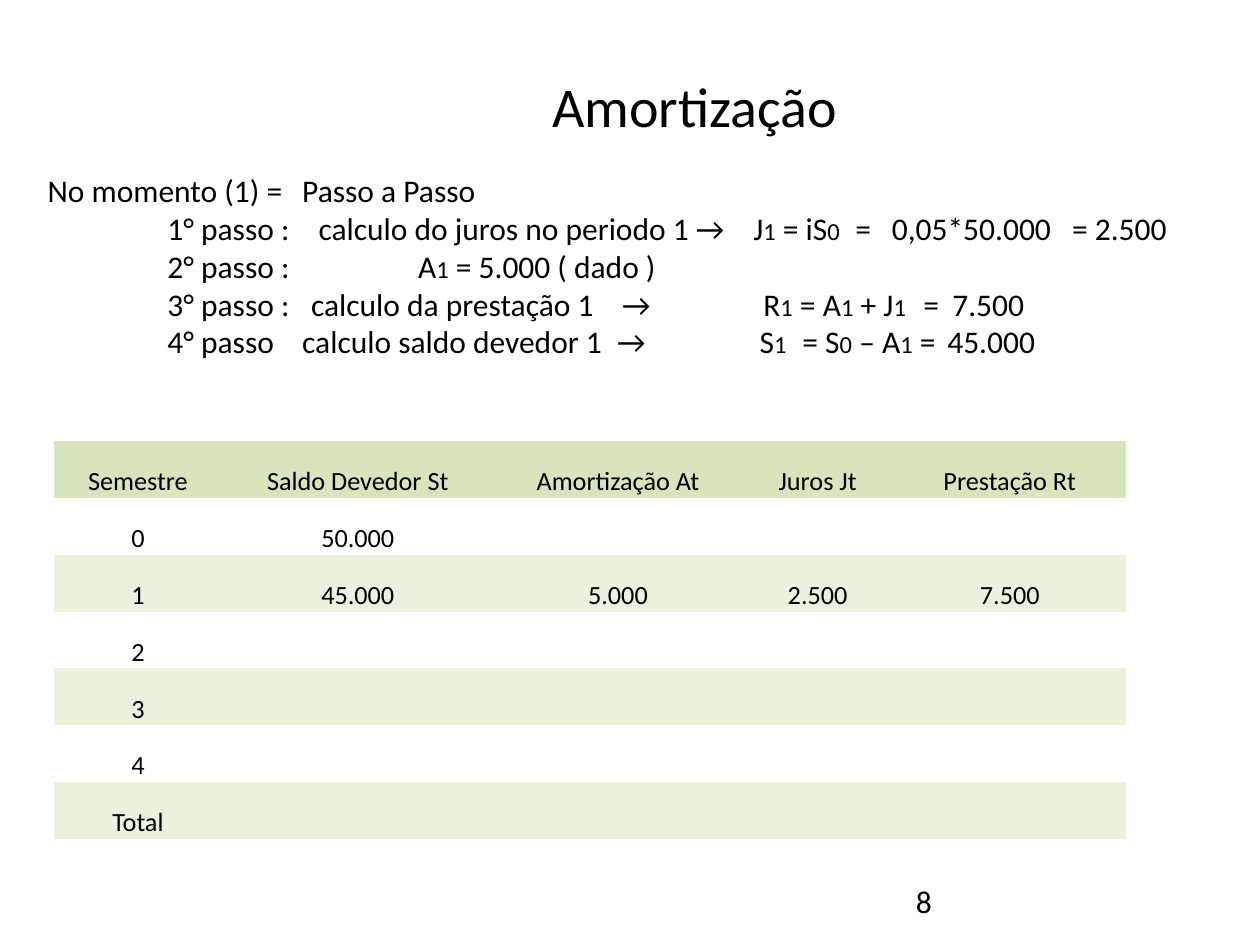
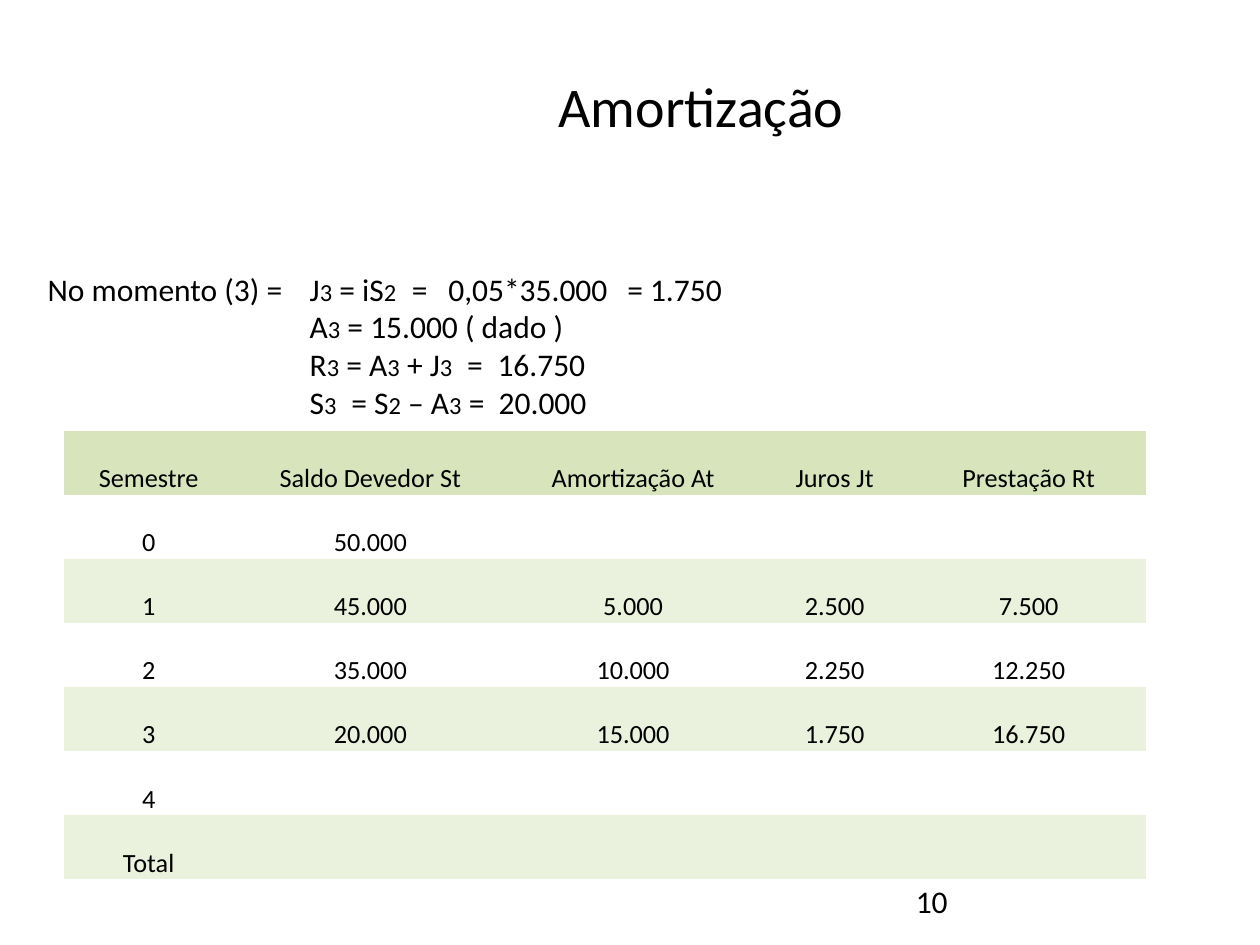
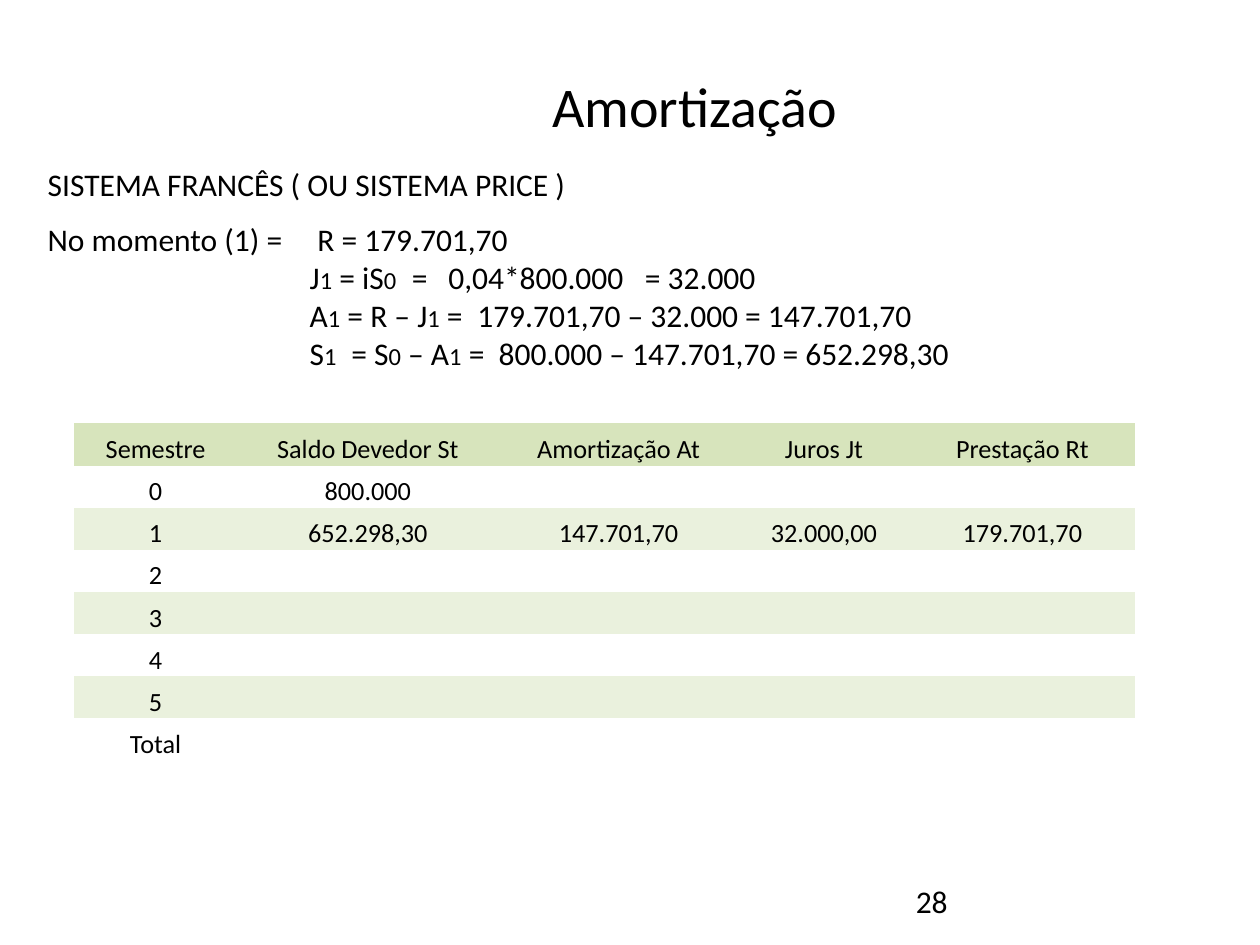
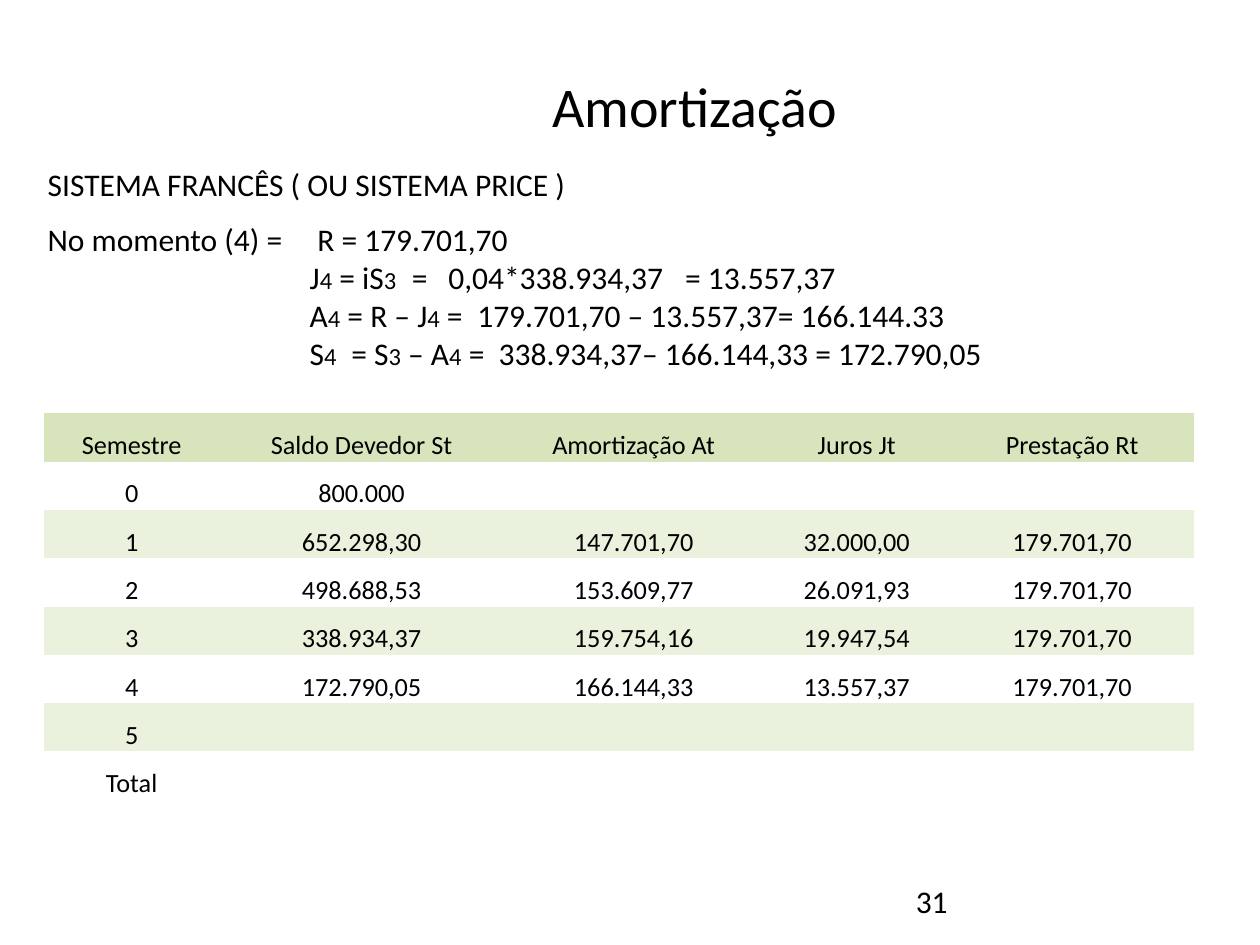
from itertools import zip_longest

from pptx import Presentation
from pptx import util as u
from pptx.dml.color import RGBColor
from pptx.enum import text as t
from pptx.oxml.ns import qn
from lxml import etree

COLOURS = {"ink": "000000", "header": "D7E4BC", "band": "EAF1DD"}
FONT = "Calibri"
NO_STYLE = "{2D5ABB26-0587-4C30-8999-92F81FD0307C}"
BODY_LEFT, BODY_WIDTH = 0.28, 9.61

HEADINGS = ["Semestre", "Saldo Devedor St", "Amortização At", "Juros Jt", "Prestação Rt"]
CONSTANT_LABELS = ["0", "1", "2", "3", "4", "Total"]
CONSTANT_ROWS = [
    ["50.000"],
    ["45.000", "5.000", "2.500", "7.500"],
    ["35.000", "10.000", "2.250", "12.250"],
    ["20.000", "15.000", "1.750", "16.750"],
]
FRENCH_LABELS = ["0", "1", "2", "3", "4", "5", "Total"]
FRENCH_ROWS = [
    ["800.000"],
    ["652.298,30", "147.701,70", "32.000,00", "179.701,70"],
    ["498.688,53", "153.609,77", "26.091,93", "179.701,70"],
    ["338.934,37", "159.754,16", "19.947,54", "179.701,70"],
    ["172.790,05", "166.144,33", "13.557,37", "179.701,70"],
]
FRENCH_NAME = "SISTEMA FRANCÊS ( OU SISTEMA PRICE )"

# Each step is (text, tab stops in inches); "_" sets the next character as a small index.
PAGES = [
    {
        "number": "8", "title": "Amortização", "steps_top": 1.31, "steps_height": 1.92,
        "steps": [
            ("No momento (1) =\tPasso a Passo", [2.02]),
            ("\t1° passo :\tcalculo do juros no periodo 1 →\tJ_1 = iS_0\t=\t0,05*50.000\t= 2.500",
             [0.95, 2.15, 5.6, 6.41, 6.7, 8.13]),
            ("\t2° passo :\tA_1 = 5.000 ( dado )", [0.95, 2.94]),
            ("\t3° passo :\tcalculo da prestação 1\t→\tR_1 = A_1 + J_1\t=\t7.500",
             [0.95, 2.09, 4.56, 5.68, 6.95, 7.18]),
            ("\t4° passo\tcalculo saldo devedor 1\t→\tS_1\t= S_0 – A_1 =\t45.000",
             [0.95, 2.02, 4.52, 5.65, 5.99, 7.14]),
        ],
        "labels": CONSTANT_LABELS, "rows": CONSTANT_ROWS[:2],
        "table_at": (0.43, 3.5), "table_height": 3.16,
        "columns": [1.33, 2.16, 1.97, 1.2, 1.85],
    },
    {
        "number": "10", "title": " Amortização", "steps_top": 2.09, "steps_height": 1.62,
        "steps": [
            ("No momento (3) =\tJ_3 = iS_2\t=\t0,05*35.000\t= 1.750", [2.08, 2.89, 3.18, 4.6]),
            ("\tA_3 = 15.000 ( dado )", [2.08]),
            ("\tR_3 = A_3 + J_3\t=\t16.750", [2.08, 3.33, 3.57]),
            ("\tS_3\t= S_2 – A_3 =\t20.000", [2.08, 2.41, 3.58]),
        ],
        "labels": CONSTANT_LABELS, "rows": CONSTANT_ROWS,
        "table_at": (0.51, 3.42), "table_height": 3.56,
        "columns": [1.34, 2.18, 1.99, 1.21, 1.87],
    },
    {
        "number": "28", "title": "Amortização", "system": FRENCH_NAME,
        "steps_top": 1.7, "steps_height": 1.62,
        "steps": [
            ("No momento (1) =\tR = 179.701,70", [2.14]),
            ("\tJ_1 = iS_0\t=\t0,04*800.000\t= 32.000", [2.08, 2.89, 3.18, 4.74]),
            ("\tA_1 = R – J_1 =\t179.701,70 – 32.000 = 147.701,70", [2.08, 3.41]),
            ("\tS_1\t= S_0 – A_1 =\t800.000 – 147.701,70 = 652.298,30", [2.08, 2.41, 3.58]),
        ],
        "labels": FRENCH_LABELS, "rows": FRENCH_ROWS[:2],
        "table_at": (0.59, 3.36), "table_height": 2.68,
        "columns": [1.29, 2.08, 1.9, 1.36, 1.79],
    },
    {
        "number": "31", "title": "Amortização", "system": FRENCH_NAME,
        "steps_top": 1.7, "steps_height": 1.62,
        "steps": [
            ("No momento (4) =\tR = 179.701,70", [2.14]),
            ("\tJ_4 = iS_3\t=\t0,04*338.934,37\t= 13.557,37", [2.08, 2.89, 3.18, 5.06]),
            ("\tA_4 = R – J_4 =\t179.701,70 – 13.557,37= 166.144.33", [2.08, 3.41]),
            ("\tS_4\t= S_3 – A_4 =\t338.934,37– 166.144,33 = 172.790,05", [2.08, 2.41, 3.58]),
        ],
        "labels": FRENCH_LABELS, "rows": FRENCH_ROWS,
        "table_at": (0.35, 3.28), "table_height": 3.07,
        "columns": [1.39, 2.26, 2.06, 1.48, 1.94],
    },
]


def write(para, text, size=18, index_size=14, align=t.PP_ALIGN.LEFT, tabs=()):
    """Fill a paragraph, making the character after each "_" a small index."""
    para.alignment = align
    if tabs:
        stops = etree.SubElement(para._p.get_or_add_pPr(), qn("a:tabLst"))
        for stop in tabs:
            etree.SubElement(stops, qn("a:tab"), pos=str(u.Inches(stop)), algn="l")
    first, *indexed = text.split("_")
    parts = [(first, size)]
    for piece in indexed:
        parts += [(piece[0], index_size), (piece[1:], size)]
    for words, points in parts:
        if words:
            span = para.add_run()
            span.text = words
            span.font.name = FONT
            span.font.size = u.Pt(points)
            span.font.color.rgb = RGBColor.from_string(COLOURS["ink"])


def place(shape, left, top, width, height):
    shape.left, shape.top, shape.width, shape.height = map(u.Inches, (left, top, width, height))


def add_lines(page, lines, left, top, width, height):
    box = page.shapes.add_textbox(*map(u.Inches, (left, top, width, height)))
    frame = box.text_frame
    frame.word_wrap = True
    for number, (text, tabs) in enumerate(lines):
        para = frame.add_paragraph() if number else frame.paragraphs[0]
        write(para, text, tabs=tabs)


def add_title(page, text):
    title = page.shapes.title
    place(title, 0.91, 0.52, 9.21, 0.87)
    frame = title.text_frame
    frame.auto_size = t.MSO_AUTO_SIZE.NONE
    frame.vertical_anchor = t.MSO_ANCHOR.TOP
    para = frame.paragraphs[0]
    para.space_before = u.Pt(0)
    write(para, text, size=32, align=t.PP_ALIGN.CENTER)


def add_schedule(page, labels, rows, at, columns, height):
    """Add the amortization table; periods without values stay empty."""
    grid = [HEADINGS] + [[label] + values
                         for label, values in zip_longest(labels, rows, fillvalue=[])]
    frame = page.shapes.add_table(len(grid), len(columns),
                                  *map(u.Inches, (*at, sum(columns), height)))
    table = frame.table
    table.first_row = table.horz_banding = False
    table._tbl.tblPr.find(qn("a:tableStyleId")).text = NO_STYLE
    for column, width in zip(table.columns, columns):
        column.width = u.Inches(width)
    for r, values in enumerate(grid):
        table.rows[r].height = u.Inches(height / len(grid))
        for cell, value in zip_longest(table.rows[r].cells, values, fillvalue=""):
            cell.margin_left = cell.margin_right = cell.margin_top = u.Inches(0.01)
            cell.margin_bottom = 0
            cell.vertical_anchor = t.MSO_ANCHOR.BOTTOM
            if r % 2:
                cell.fill.background()
            else:
                cell.fill.solid()
                cell.fill.fore_color.rgb = RGBColor.from_string(COLOURS["band" if r else "header"])
            write(cell.text_frame.paragraphs[0], value, size=15, align=t.PP_ALIGN.CENTER)


def main():
    deck = Presentation()
    deck.slide_width, deck.slide_height = u.Inches(10), u.Inches(7.5)
    for content in PAGES:
        page = deck.slides.add_slide(deck.slide_layouts[5])
        add_lines(page, [(content["number"], ())], 7.17, 6.95, 2.33, 0.4)
        add_title(page, content["title"])
        if "system" in content:
            add_lines(page, [(content["system"], ())], BODY_LEFT, 1.26, BODY_WIDTH, 1.31)
        add_lines(page, content["steps"], BODY_LEFT, content["steps_top"],
                  BODY_WIDTH, content["steps_height"])
        add_schedule(page, content["labels"], content["rows"], content["table_at"],
                     content["columns"], content["table_height"])
    deck.save("out.pptx")


if __name__ == "__main__":
    main()
